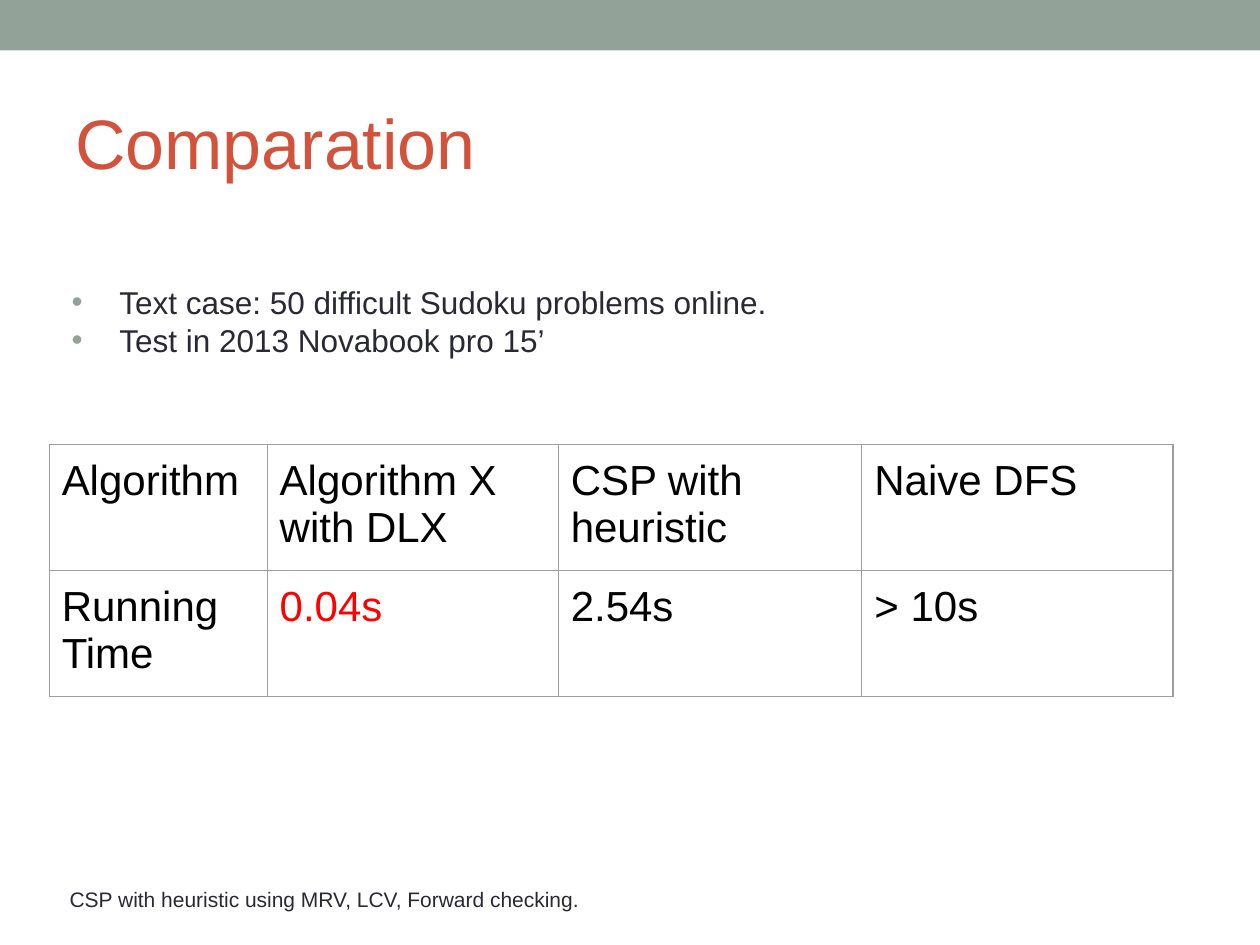
import pptx
import pptx.dml.color
import pptx.enum.shapes
import pptx.enum.text
import pptx.oxml
import pptx.oxml.ns
import pptx.util
import lxml.etree

INK = {"band": "93A299", "title": "D2533C", "text": "292934",
       "cell": "000000", "best": "FF0000", "rule": "9E9E9E"}
FONT = "Arial"
WIDE, HIGH = 10, 7.5
PAD = 0.1

TITLE = "Comparation"
POINTS = ["Text case: 50 difficult Sudoku problems online.",
          "Test in 2013 Novabook pro 15’"]
NOTE = "CSP with heuristic using MRV, LCV, Forward checking. "
ROWS = [["Algorithm", "Algorithm X with DLX", "CSP with heuristic", "Naive DFS"],
        ["Running Time", "0.04s", "2.54s", "> 10s"]]
BEST = "0.04s"
COLS = [1.73, 2.31, 2.41, 2.47]
ROW = 1

inch = pptx.util.Inches
anchor = pptx.enum.text.MSO_ANCHOR
align = pptx.enum.text.PP_ALIGN


def color(name):
    return pptx.dml.color.RGBColor.from_string(INK[name])


def write(para, text, size, ink):
    run = para.add_run()
    run.text = text
    run.font.name = FONT
    run.font.size = pptx.util.Pt(size)
    run.font.color.rgb = color(ink)


def add_box(slide, place, lines, size, ink, top=PAD, middle=True):
    """Add a text box and return its paragraphs."""
    frame = slide.shapes.add_textbox(*map(inch, place)).text_frame
    frame.word_wrap = True
    frame.margin_left = frame.margin_right = frame.margin_bottom = inch(PAD)
    frame.margin_top = inch(top)
    frame.vertical_anchor = anchor.MIDDLE if middle else anchor.TOP
    for i, line in enumerate(lines):
        para = frame.add_paragraph() if i else frame.paragraphs[0]
        write(para, line, size, ink)
    return frame.paragraphs


def add_bullet(para):
    props = para._p.get_or_add_pPr()
    props.set("marL", str(inch(0.5)))
    props.set("indent", str(inch(-0.38)))
    tint = lxml.etree.SubElement(props, pptx.oxml.ns.qn("a:buClr"))
    lxml.etree.SubElement(tint, pptx.oxml.ns.qn("a:srgbClr"), val=INK["band"])
    lxml.etree.SubElement(props, pptx.oxml.ns.qn("a:buFont"), typeface=FONT)
    lxml.etree.SubElement(props, pptx.oxml.ns.qn("a:buChar"), char="•")


def add_rules(cell):
    """Draw a thin line on all four sides of a cell."""
    props = cell._tc.get_or_add_tcPr()
    for i, side in enumerate(("lnL", "lnR", "lnT", "lnB")):
        line = pptx.oxml.parse_xml(
            f'<a:{side} {pptx.oxml.ns.nsdecls("a")} w="{pptx.util.Pt(0.75)}">'
            f'<a:solidFill><a:srgbClr val="{INK["rule"]}"/></a:solidFill></a:{side}>')
        props.insert(i, line)


def add_grid(slide, left, top):
    table = slide.shapes.add_table(
        len(ROWS), len(COLS), inch(left), inch(top),
        inch(sum(COLS)), inch(ROW * len(ROWS))).table
    table.first_row = table.horz_banding = False
    for col, width in zip(table.columns, COLS):
        col.width = inch(width)
    for r, row in enumerate(ROWS):
        table.rows[r].height = inch(ROW)
        for c, text in enumerate(row):
            cell = table.cell(r, c)
            cell.margin_left = cell.margin_right = inch(PAD)
            cell.margin_top = cell.margin_bottom = inch(PAD)
            cell.fill.background()
            add_rules(cell)
            write(cell.text_frame.paragraphs[0], text, 24,
                  "best" if text == BEST else "cell")


def main():
    deck = pptx.Presentation()
    deck.slide_width, deck.slide_height = inch(WIDE), inch(HIGH)
    slide = deck.slides.add_slide(deck.slide_layouts[6])

    band = slide.shapes.add_shape(
        pptx.enum.shapes.MSO_SHAPE.RECTANGLE, 0, 0, inch(WIDE), inch(0.4))
    band.shadow.inherit = False
    band.fill.solid()
    band.fill.fore_color.rgb = color("band")
    band.line.fill.background()

    add_box(slide, (0.5, 0.58, 9, 1.08), [TITLE], 40, "title")
    for para in add_box(slide, (0.35, 1.74, 9, 5.33), POINTS, 18, "text",
                        top=0.51, middle=False):
        add_bullet(para)
    add_grid(slide, 0.39, 3.53)
    note = add_box(slide, (0.35, 6.96, 4.5, 0.36), [NOTE], 12, "text")
    note[0].alignment = align.CENTER

    deck.save("out.pptx")


if __name__ == "__main__":
    main()
